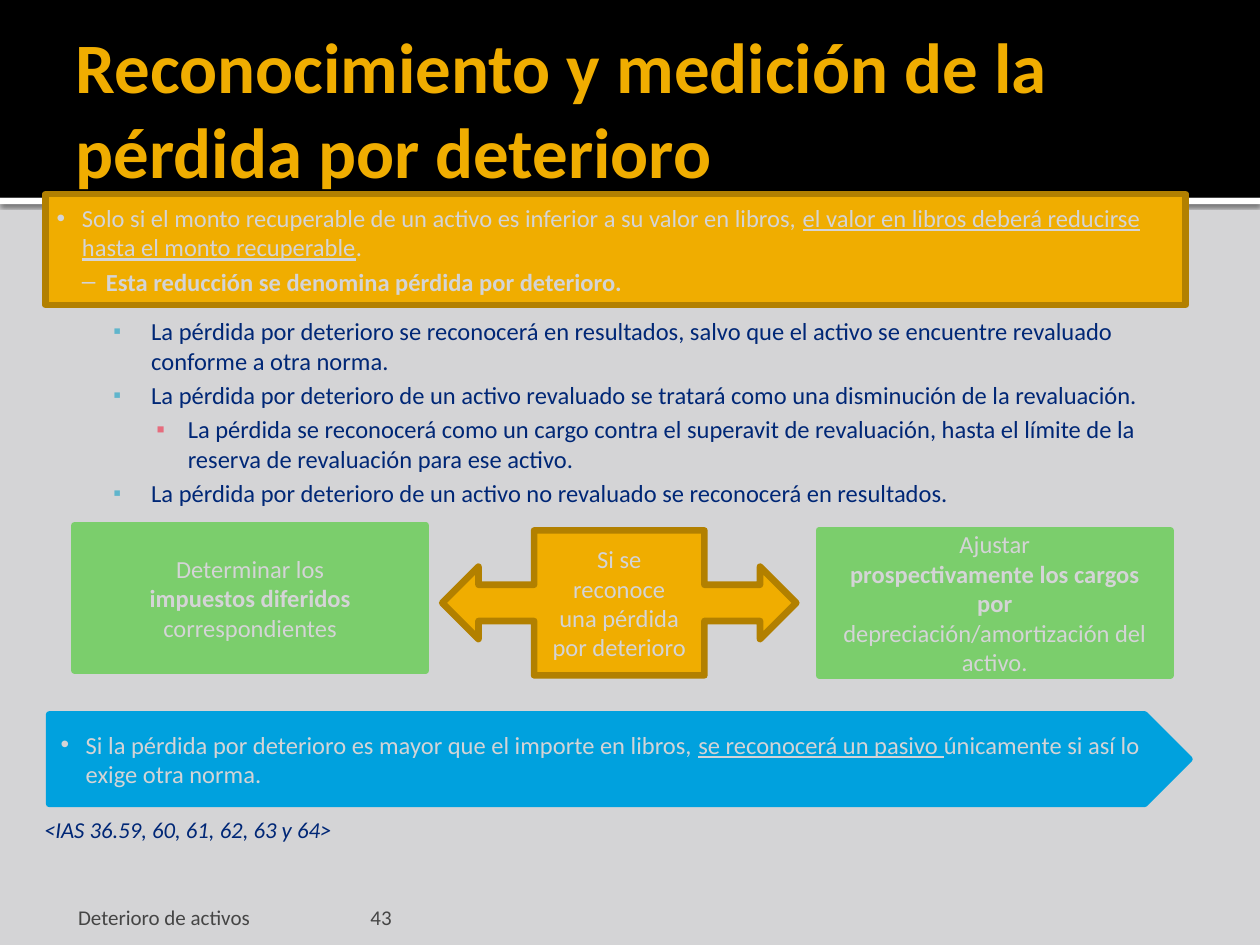
from lxml import etree
from pptx import Presentation
from pptx.dml.color import RGBColor
from pptx.enum.shapes import MSO_SHAPE
from pptx.enum.text import MSO_ANCHOR, MSO_AUTO_SIZE, PP_ALIGN
from pptx.oxml.ns import qn
from pptx.util import Inches, Pt

RECT = MSO_SHAPE.RECTANGLE
PLATE = MSO_SHAPE.PENTAGON
CALLOUT = MSO_SHAPE.LEFT_RIGHT_ARROW_CALLOUT
TOP, MIDDLE, BOTTOM = MSO_ANCHOR.TOP, MSO_ANCHOR.MIDDLE, MSO_ANCHOR.BOTTOM
LEFT, CENTER = PP_ALIGN.LEFT, PP_ALIGN.CENTER
FIXED = MSO_AUTO_SIZE.NONE
GOLD, BROWN, GREEN, BLUE = "F0AD00", "B28000", "7BCE6C", "00A1DE"
GREY, NAVY, DARK = "D4D4D6", "002776", "454545"
TEAL, PINK = "60B5CC", "E66C7D"
INSETS = (0.09, 0.04, 0.09, 0.04)


def color(value):
    return RGBColor.from_string(value)


def place(shape, box):
    shape.left, shape.top, shape.width, shape.height = map(Inches, box)


def frame(shape, anchor, insets=INSETS):
    text = shape.text_frame
    text.word_wrap = True
    text.auto_size = FIXED
    text.vertical_anchor = anchor
    (text.margin_left, text.margin_top,
     text.margin_right, text.margin_bottom) = map(Inches, insets)
    return text


def style(para, size, tint, align=LEFT):
    para.alignment = align
    for run in para.runs:
        font = run.font
        font.name, font.size = "Calibri", Pt(size)
        font.color.rgb = color(tint)


def bullet(para, mark, margin, hang, tint=None, scale=None):
    props = para._p.get_or_add_pPr()
    props.set("marL", str(Inches(margin)))
    props.set("indent", str(-Inches(hang)))
    if tint:
        node = etree.SubElement(props, qn("a:buClr"))
        etree.SubElement(node, qn("a:srgbClr"), val=tint)
    if scale:
        etree.SubElement(props, qn("a:buSzPct"), val=str(scale * 1000))
    etree.SubElement(props, qn("a:buFont"), typeface="Arial")
    etree.SubElement(props, qn("a:buChar"), char=mark)


def block(slide, kind, box, fill, line=None):
    shape = slide.shapes.add_shape(kind, *map(Inches, box))
    shape.shadow.inherit = False
    shape.fill.solid()
    shape.fill.fore_color.rgb = color(fill)
    if line:
        shape.line.color.rgb = color(line)
        shape.line.width = Pt(3.78)
    else:
        shape.line.fill.background()
    return shape


def banner(slide, box):
    left, top, width, height = box
    strip = block(slide, RECT, (left, top + height, width, 0.05), "FFFFFF")
    effects = strip._element.spPr.find(qn("a:effectLst"))
    shade = etree.SubElement(effects, qn("a:outerShdw"), blurRad=str(Pt(2.5)),
                             dist=str(Pt(0.8)), dir="5400000")
    tone = etree.SubElement(shade, qn("a:srgbClr"), val="000000")
    etree.SubElement(tone, qn("a:alpha"), val="60000")
    block(slide, RECT, box, "000000")


def heading(shape, box, words):
    place(shape, box)
    text = frame(shape, MIDDLE, (0.1, 0.04, 0.05, 0.04))
    text.text = words
    para = text.paragraphs[0]
    style(para, 40.5, GOLD)
    para.runs[0].font.bold = True


def rules(shape, box, items):
    place(shape, box)
    text = frame(shape, TOP, (0.06, 0.1, 0.09, 0.04))
    text.text = "\n".join(words for _, words in items)
    for para, (level, _) in zip(text.paragraphs, items):
        para.level = level
        para.space_before = Pt(2.8)
        style(para, 14, NAVY)
        if level == 1:
            bullet(para, "▪", 0.8, 0.3, TEAL, 90)
        else:
            bullet(para, "▪", 1.09, 0.25, PINK)


def notice(slide, kind, box, fill, line, parts, detail=None):
    text = frame(block(slide, kind, box, fill, line), MIDDLE)
    para = text.paragraphs[0]
    for index, words in enumerate(parts):
        run = para.add_run()
        run.text = words
        run.font.underline = index == 1
    para.space_after = Pt(2.7)
    style(para, 14, GREY)
    bullet(para, "•", 0.2, 0.2)
    if detail:
        para = text.add_paragraph()
        para.text = detail
        para.level = 1
        para.space_after = Pt(2.7)
        para.font.bold = True
        style(para, 14, GREY)
        para.runs[0].font.bold = True
        bullet(para, "‒", 0.39, 0.19)


def card(slide, kind, box, fill, line, lines, strong=None):
    text = frame(block(slide, kind, box, fill, line), MIDDLE)
    text.text = "\n".join(lines)
    for index, para in enumerate(text.paragraphs):
        style(para, 14, GREY, CENTER)
        para.runs[0].font.bold = index == strong


def label(slide, box, words, size, tint, anchor, insets=INSETS):
    shape = slide.shapes.add_textbox(*map(Inches, box))
    text = frame(shape, anchor, insets)
    text.text = words
    para = text.paragraphs[0]
    style(para, size, tint)
    return para


def build():
    deck = Presentation()
    deck.slide_width, deck.slide_height = Inches(10), Inches(7.5)
    slide = deck.slides.add_slide(deck.slide_layouts[1])
    slide.background.fill.solid()
    slide.background.fill.fore_color.rgb = color(GREY)
    title, body = slide.placeholders
    banner(slide, (0, 0, 10, 1.57))
    tree = slide.shapes._spTree
    for shape in (title, body):
        tree.append(shape._element)

    heading(title, (0.5, 0.17, 9, 1.37),
            "Reconocimiento y medición de la pérdida por deterioro")
    rules(body, (0.34, 2.41, 9.11, 1.81), [
        (1, "La pérdida por deterioro se reconocerá en resultados, salvo que "
            "el activo se encuentre revaluado conforme a otra norma."),
        (1, "La pérdida por deterioro de un activo revaluado se tratará como "
            "una disminución de la revaluación."),
        (2, "La pérdida se reconocerá como un cargo contra el superavit de "
            "revaluación, hasta el límite de la reserva de revaluación para "
            "ese activo."),
        (1, "La pérdida por deterioro de un activo no revaluado se "
            "reconocerá en resultados."),
    ])
    notice(slide, RECT, (0.36, 1.54, 9.05, 0.88), GOLD, BROWN, [
        "Solo si el monto recuperable de un activo es inferior a su valor "
        "en libros, ",
        "el valor en libros deberá reducirse hasta el monto recuperable",
        "."], "Esta reducción se denomina pérdida por deterioro.")
    card(slide, RECT, (0.59, 4.17, 2.79, 1.15), GREEN, GREEN,
         ["Determinar los", "impuestos diferidos", "correspondientes"], 1)
    card(slide, RECT, (6.5, 4.21, 2.79, 1.15), GREEN, GREEN,
         ["Ajustar", "prospectivamente los cargos por",
          "depreciación/amortización del activo."], 1)
    card(slide, CALLOUT, (3.51, 4.21, 2.81, 1.15), GOLD, BROWN,
         ["Si se", "reconoce", "una pérdida", "por deterioro"])
    notice(slide, PLATE, (0.39, 5.67, 9.05, 0.71), BLUE, BLUE, [
        "Si la pérdida por deterioro es mayor que el importe en libros, ",
        "se reconocerá un pasivo ",
        "únicamente si así lo exige otra norma."])
    source = label(slide, (0.26, 6.46, 2.77, 0.29),
                   "<IAS 36.59, 60, 61, 62, 63 y 64>", 13, NAVY, TOP)
    source.line_spacing = 0.9
    source.runs[0].font.italic = True
    label(slide, (0.5, 7.08, 2.33, 0.3), "Deterioro de activos", 12, DARK,
          BOTTOM, (0.12, 0.04, 0.05, 0))
    label(slide, (2.89, 7.08, 6.02, 0.3), "43", 12, DARK,
          BOTTOM, (0.05, 0.04, 0.05, 0))
    deck.save("out.pptx")


build()
